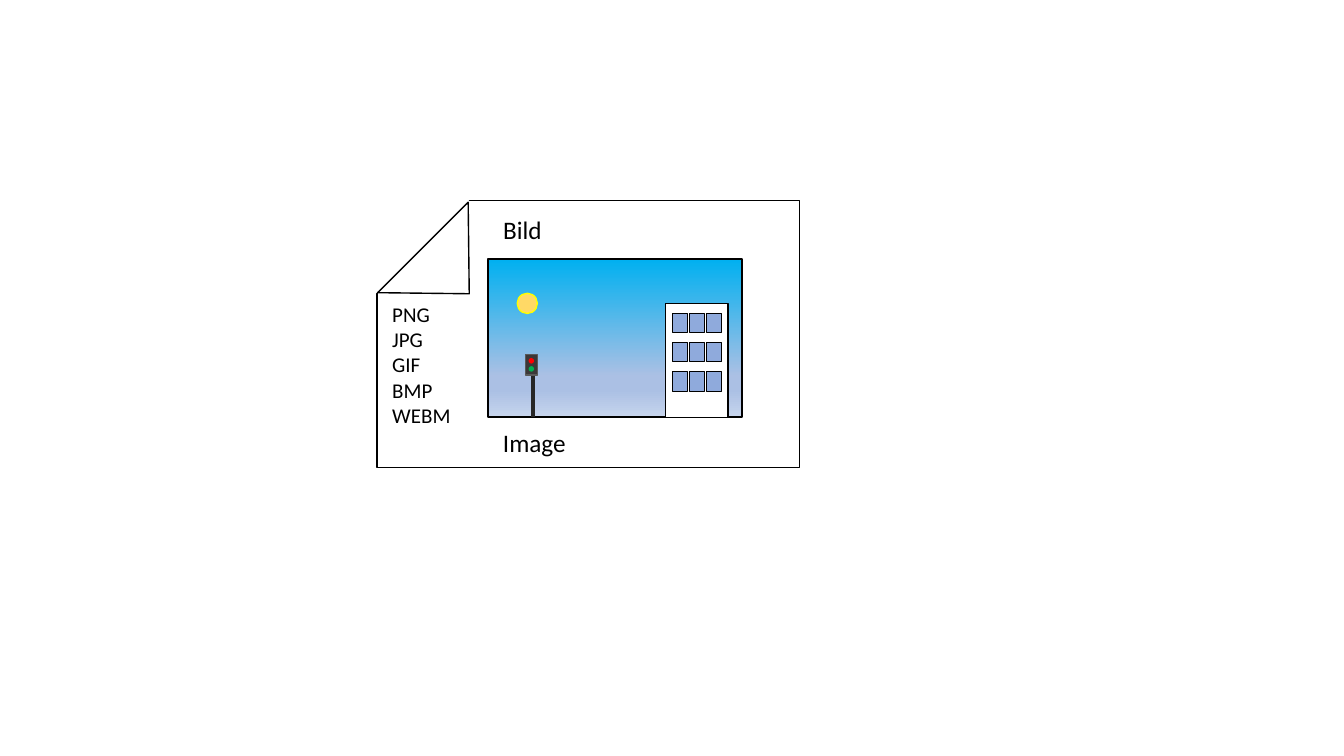
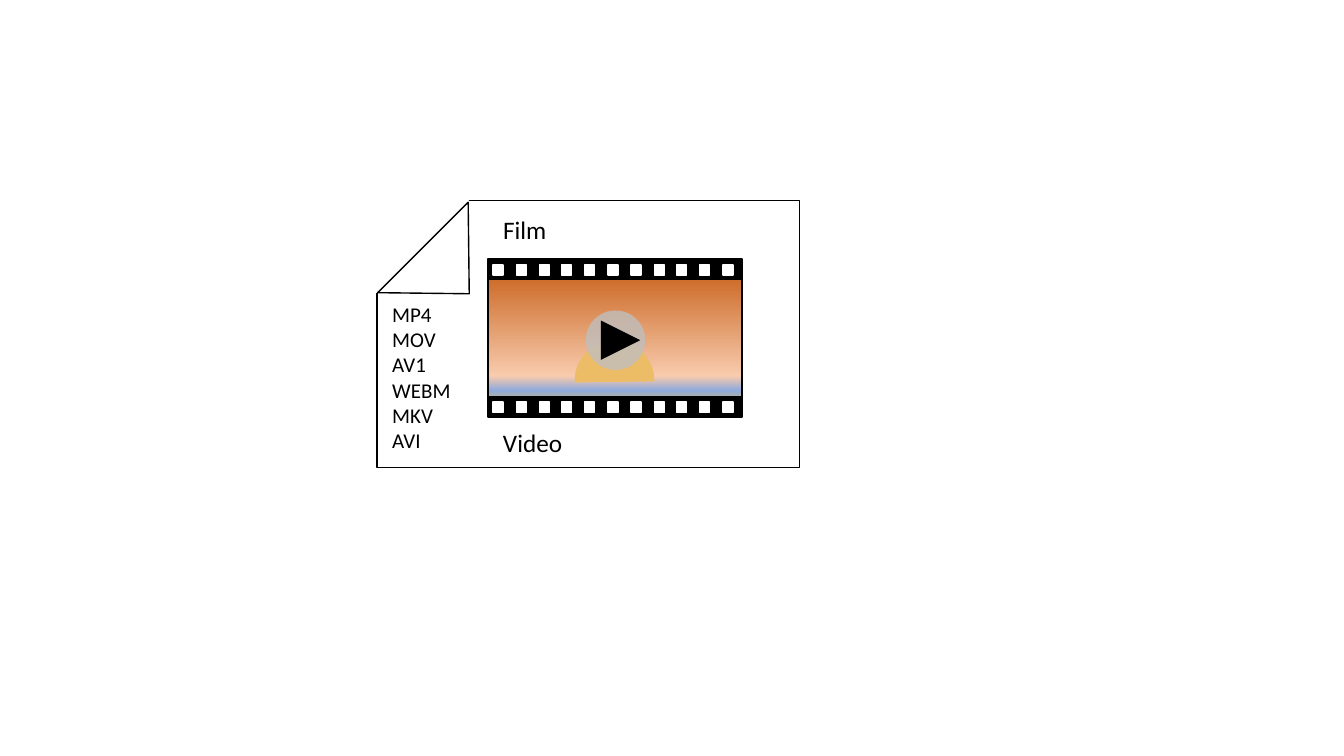
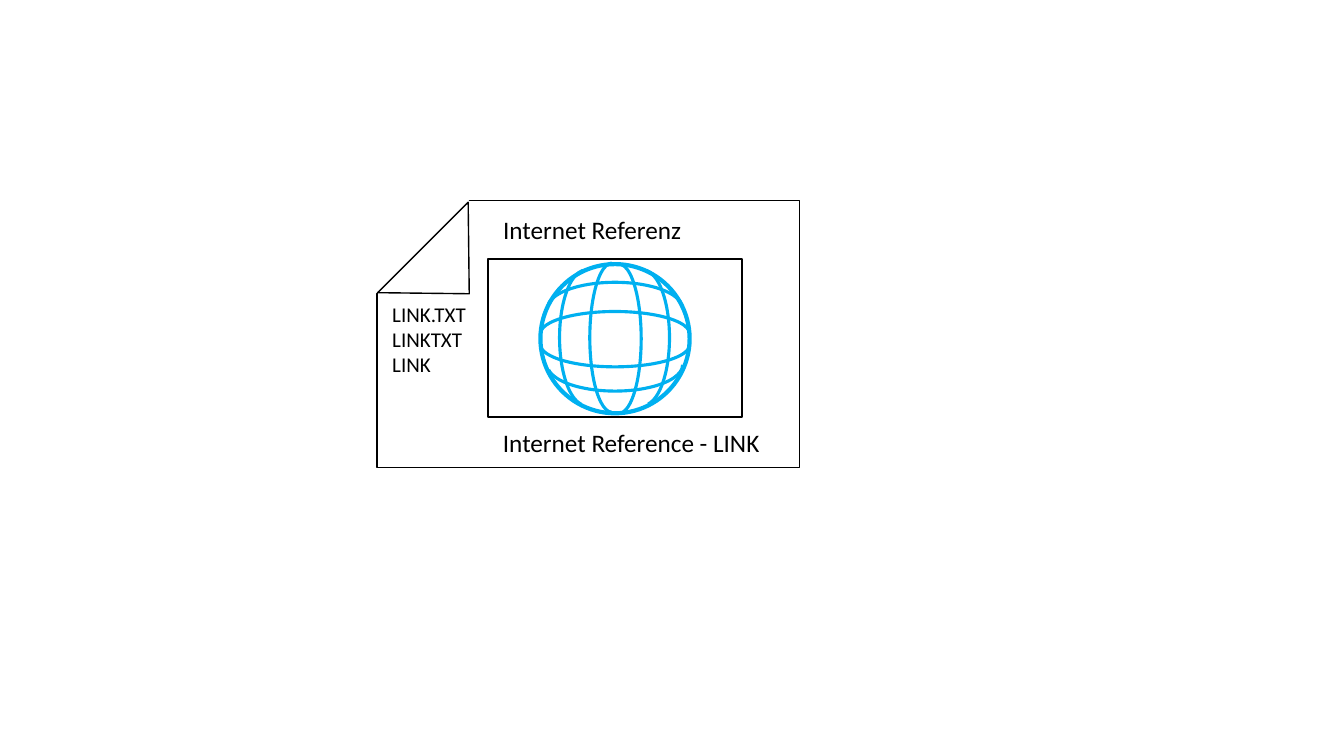
from copy import deepcopy

from pptx import Presentation
from pptx import util as u
from pptx.dml.color import RGBColor
from pptx.enum import shapes, text
from pptx.oxml.xmlchemy import OxmlElement

PX = 9144
KIND = shapes.MSO_SHAPE
COLOURS = {
    "black": "000000",
    "white": "FFFFFF",
    "sky": "00B0F0",
    "haze": "ABC0E4",
    "horizon": "C7D5ED",
    "sun": "FFD966",
    "sun_edge": "FFFF00",
    "glass": "8FAADC",
    "signal_box": "3B3838",
    "signal_edge": "595959",
    "signal_pole": "262626",
    "red": "FF0000",
    "green": "00B050",
    "dusk": "C55A11",
    "glow": "F8CBAD",
    "shore": "FFC000",
    "sunset": "ECBC66",
    "button": "BFBFBF",
}
FRAME = (484, 257, 252, 157)


def px(value):
    return u.Emu(value * PX)


def rgb(name):
    return RGBColor.from_string(COLOURS[name])


class Deck:
    font = "Calibri"

    def __init__(self):
        self.presentation = Presentation()
        self.presentation.slide_width = px(1333)
        self.presentation.slide_height = px(750)
        self.slide = None

    def add_slide(self, heading, caption, formats, heading_width=178, caption_width=178):
        layout = self.presentation.slide_layouts[1]
        self.slide = self.presentation.slides.add_slide(layout)
        title, body = self.slide.placeholders
        self.page()
        self.text([heading], (489, 208, heading_width, 40), shape=title)
        self.text([caption], (489, 419, caption_width, 40))
        self.text(formats, (379, 294, 101, 11 + 25 * len(formats)), shape=body, size=15)

    def page(self):
        self.shape(KIND.RECTANGLE, (374, 199, 419, 265), fill="white", line="black")
        self.shape(KIND.ISOSCELES_TRIANGLE, (301, 190, 187, 65), fill="white",
                   line="white", rotation=315, adjustments=[0.507])
        self.shape(KIND.ISOSCELES_TRIANGLE, (379, 236, 127, 65), fill="white",
                   line="black", rotation=315, flip="hv")

    def text(self, lines, box, shape=None, size=18, colour="black"):
        if shape is None:
            shape = self.slide.shapes.add_textbox(*map(px, box))
        else:
            shape.left, shape.top, shape.width, shape.height = map(px, box)
            self.slide.shapes._spTree.append(shape.element)
        frame = shape.text_frame
        frame.text = "\n".join(lines)
        frame.word_wrap = True
        frame.auto_size = text.MSO_AUTO_SIZE.SHAPE_TO_FIT_TEXT
        frame.vertical_anchor = text.MSO_ANCHOR.TOP
        for paragraph in frame.paragraphs:
            paragraph.alignment = text.PP_ALIGN.LEFT
            paragraph.space_before = u.Pt(0)
            properties = paragraph._p.get_or_add_pPr()
            properties.set("marL", "0")
            properties.set("indent", "0")
            properties.append(OxmlElement("a:buNone"))
            for run in paragraph.runs:
                run.font.name = self.font
                run.font.size = u.Pt(size)
                run.font.color.rgb = rgb(colour)

    def shape(self, kind, box, fill=None, line=None, weight=1, rotation=0,
              flip="", adjustments=(), alpha=None):
        shape = self.slide.shapes.add_shape(kind, *map(px, box))
        shape.shadow.inherit = False
        shape.rotation = rotation
        transform = shape.element.spPr.xfrm
        transform.flipH = "h" in flip
        if "v" in flip:
            transform.set("flipV", "1")
        for index, value in enumerate(adjustments):
            shape.adjustments[index] = value
        if fill:
            shape.fill.solid()
            shape.fill.fore_color.rgb = rgb(fill)
        else:
            shape.fill.background()
        if alpha:
            opacity = OxmlElement("a:alpha")
            opacity.set("val", str(alpha * 1000))
            shape.element.spPr.find(".//" + "{*}srgbClr").append(opacity)
        if line:
            shape.line.color.rgb = rgb(line)
            shape.line.width = u.Pt(weight)
        else:
            shape.line.fill.background()
        return shape

    def frame(self, stops=()):
        shape = self.shape(KIND.RECTANGLE, FRAME, line="black", weight=1.5)
        if not stops:
            return
        shape.fill.gradient()
        shape.fill.gradient_angle = 270
        stop_list = shape.element.spPr.find(".//{*}gsLst")
        while len(stop_list) < len(stops):
            stop_list.append(deepcopy(stop_list[0]))
        for stop, (position, name) in zip(shape.fill.gradient_stops, stops):
            stop.position = position
            stop.color.rgb = rgb(name)

    def line(self, start, end, colour, weight):
        connector = self.slide.shapes.add_connector(
            shapes.MSO_CONNECTOR.STRAIGHT, *map(px, start + end))
        connector.line.color.rgb = rgb(colour)
        connector.line.width = u.Pt(weight)
        connector._element.spPr.append(OxmlElement("a:effectLst"))

    def film_strip(self, top):
        self.shape(KIND.RECTANGLE, (485, top, 251, 19), fill="black", line="black")
        for index in range(11):
            left = 489 + round(22.8 * index)
            self.shape(KIND.RECTANGLE, (left, top + 5, 10, 10), fill="white", line="white")

    def globe(self):
        self.shape(KIND.OVAL, (536, 262, 148, 148), line="sky", weight=3)
        for box, rotation, flip, end in (
            ((612, 268, 52, 134), 0, "", 51.45),
            ((555, 268, 52, 134), 0, "h", 51.45),
            ((592, 262, 44, 148), 0, "", 52.67),
            ((585, 261, 44, 148), 0, "h", 53.75),
            ((584, 295, 52, 134), 90, "", 51.45),
            ((584, 239, 52, 134), 90, "h", 51.45),
            ((588, 268, 44, 148), 90, "", 52.67),
            ((588, 257, 44, 148), 90, "h", 53.75),
        ):
            self.shape(KIND.ARC, box, line="sky", weight=2.25, rotation=rotation,
                       flip=flip, adjustments=[162, end])


def image_slide(deck):
    deck.add_slide("Bild", "Image", ["PNG", "JPG", "GIF", "BMP", "WEBM"])
    deck.frame([(0, "sky"), (0.74, "haze"), (0.83, "haze"), (1, "horizon")])
    deck.shape(KIND.OVAL, (513, 291, 20, 20), fill="sun", line="sun_edge")
    deck.shape(KIND.RECTANGLE, (660, 301, 62, 113), fill="white", line="black")
    for row in range(3):
        for column in range(3):
            deck.shape(KIND.RECTANGLE, (667 + 17 * column, 311 + 29 * row, 15, 19),
                       fill="glass", line="black", weight=0.75)
    deck.shape(KIND.RECTANGLE, (521, 352, 12, 20), fill="signal_box", line="signal_edge")
    for top, colour in ((356, "red"), (364, "green")):
        deck.shape(KIND.OVAL, (525, top, 4, 4), fill=colour, line=colour)
    deck.line((529, 373), (529, 414), "signal_pole", 3)


def video_slide(deck):
    deck.add_slide("Film", "Video", ["MP4", "MOV", "AV1", "WEBM", "MKV", "AVI"])
    deck.frame([(0, "dusk"), (0.74, "glow"), (0.83, "glass"), (1, "shore")])
    deck.shape(KIND.CHORD, (570, 338, 79, 79), fill="sunset", adjustments=[106.36, 0.8])
    deck.shape(KIND.OVAL, (581, 308, 59, 59), fill="button", alpha=78)
    deck.shape(KIND.ISOSCELES_TRIANGLE, (596, 318, 39, 39), fill="black", rotation=90)
    for top in (394, 258):
        deck.film_strip(top)


def link_slide(deck):
    deck.add_slide("Internet Referenz", "Internet Reference - LINK",
                   ["LINK.TXT", "LINKTXT", "LINK"], heading_width=247, caption_width=304)
    deck.frame()
    deck.globe()


def main():
    deck = Deck()
    image_slide(deck)
    video_slide(deck)
    link_slide(deck)
    deck.presentation.save("out.pptx")


if __name__ == "__main__":
    main()
